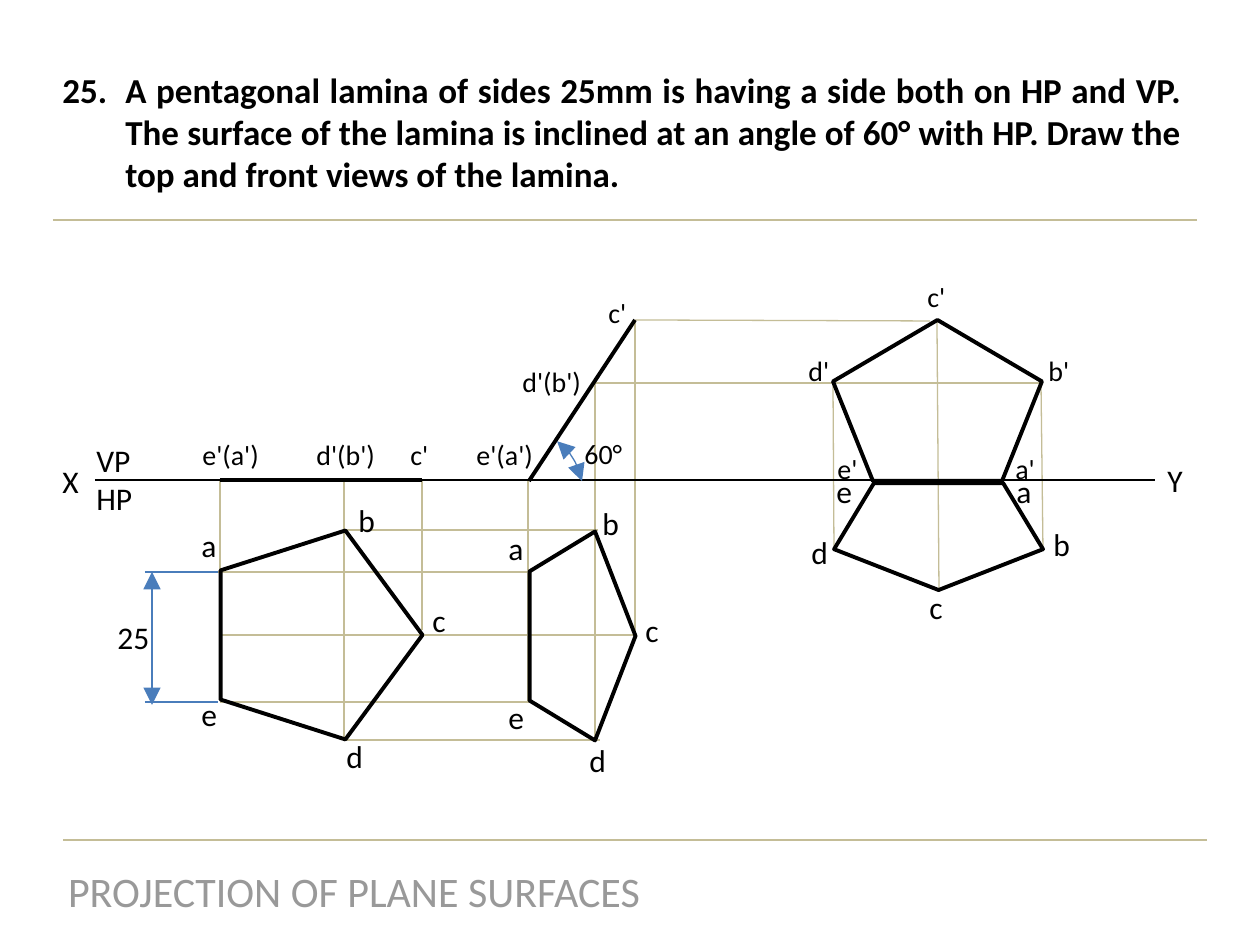
from lxml import etree
from pptx import Presentation
from pptx.dml.color import RGBColor
from pptx.enum.shapes import MSO_CONNECTOR, MSO_SHAPE
from pptx.enum.text import MSO_ANCHOR, MSO_AUTO_SIZE, PP_ALIGN
from pptx.oxml.ns import qn
from pptx.util import Emu, Pt

STRAIGHT = MSO_CONNECTOR.STRAIGHT
PENTAGON, ARC = MSO_SHAPE.REGULAR_PENTAGON, MSO_SHAPE.ARC
TOP, NO_FIT = MSO_ANCHOR.TOP, MSO_AUTO_SIZE.NONE
LEFT, CENTER, JUSTIFY = PP_ALIGN.LEFT, PP_ALIGN.CENTER, PP_ALIGN.JUSTIFY

BLACK = RGBColor(0x00, 0x00, 0x00)
TAN = RGBColor(0xC4, 0xBD, 0x97)
BLUE = RGBColor(0x4A, 0x7D, 0xBB)
GRAY = RGBColor(0x99, 0x99, 0x99)

FONT = "Calibri"
THIN, BOLD = 0.75, 2.25
SCALE = 914400 / 126  # EMU in one px

QUESTION = (
    "A pentagonal lamina of sides 25mm is having a side both on HP and VP. "
    "The surface of the lamina is inclined at an angle of 60° with HP. "
    "Draw the top and front views of the lamina."
)

# Lines: x1, y1, x2, y2
RULES = [(53, 220, 1197, 220), (63, 840, 1207, 840)]
GUIDES = [
    # Down from the front views
    (220, 571, 220, 480), (344, 741, 344, 481), (422, 630, 422, 481),
    (528, 702, 528, 480), (595, 742, 595, 383), (635, 635, 635, 320),
    # Across the top views
    (344, 530, 598, 530), (218, 572, 527, 572), (220, 635, 635, 635),
    (220, 702, 529, 702), (346, 740, 600, 740),
    # Final views
    (834, 548, 833, 382), (939, 590, 937, 320), (1043, 548, 1041, 382),
    (635, 320, 930, 321), (596, 383, 1040, 383),
]
EDGES = [(220, 480, 422, 480), (635, 320, 529, 481)]

# Lamina: x, y, width, height before the turn, turn in degrees
LAMINAS = [
    (217, 534, 209, 202, 90),
    (478, 583, 209, 106, 90),
    (833, 320, 209, 161, 0),
    (834, 483, 209, 107, 180),
]

# Labels: text, x, y
LARGE = [
    ("X", 50, 456), ("Y", 1155, 455), ("25", 105, 612),
    ("a", 189, 520), ("b", 346, 495), ("c", 420, 595), ("d", 334, 731), ("e", 189, 689),
    ("a", 496, 523), ("b", 590, 498), ("c", 633, 605), ("d", 577, 735), ("e", 496, 692),
    ("a", 1004, 466), ("b", 1041, 519), ("c", 917, 582), ("d", 799, 527), ("e", 824, 466),
]
SMALL = [
    ("e'(a')", 190, 431), ("d'(b')", 304, 431), ("c'", 398, 431),
    ("e'(a')", 464, 431), ("d'(b')", 510, 358), ("c'", 596, 289), ("60°", 572, 430),
    ("a'", 1003, 445), ("b'", 1036, 347), ("c'", 915, 273), ("d'", 796, 347),
    ("e'", 825, 445),
]
WIDTHS = {"X": 42, "Y": 40, "25": 58, "c": 39, "e'(a')": 83, "d'(b')": 84,
          "60°": 71, "a'": 45, "b'": 47, "c'": 44, "d'": 47, "e'": 47}


def px(*sizes):
    return [Emu(round(size * SCALE)) for size in sizes]


def write(box, text, size=18, color=BLACK, bold=False, align=LEFT, wrap=False, start=None):
    frame = box.text_frame
    frame.text = text
    frame.word_wrap = wrap
    frame.auto_size = NO_FIT
    frame.vertical_anchor = TOP
    for para in frame.paragraphs:
        para.alignment = align
        if start:
            number(para, start)
        font = para.runs[0].font
        font.name, font.size, font.bold = FONT, Pt(size), bold
        font.color.rgb = color


def number(para, start):
    props = para._p.get_or_add_pPr()
    indent = px(63)[0]
    props.set("marL", str(indent))
    props.set("indent", str(-indent))
    tint = etree.SubElement(props, qn("a:buClr"))
    etree.SubElement(tint, qn("a:srgbClr"), val=str(BLACK))
    etree.SubElement(props, qn("a:buAutoNum"), type="arabicPeriod", startAt=str(start))


def stroke(item, color, width, arrows=False):
    item.line.color.rgb = color
    item.line.width = Pt(width)
    if arrows:
        line = item.line._get_or_add_ln()
        for end in ("a:headEnd", "a:tailEnd"):
            etree.SubElement(line, qn(end), type="triangle", w="lg", len="lg")


def draw(slide, ends, color=TAN, width=THIN, arrows=False):
    line = slide.shapes.add_connector(STRAIGHT, *px(*ends))
    stroke(line, color, width, arrows)
    etree.SubElement(line._element.spPr, qn("a:effectLst"))


def outline(slide, kind, area, turn, color=BLACK, width=BOLD, arrows=False):
    shape = slide.shapes.add_shape(kind, *px(*area))
    shape.rotation = turn
    shape.fill.background()
    stroke(shape, color, width, arrows)
    shape.shadow.inherit = False
    return shape


def label(slide, text, area, **style):
    write(slide.shapes.add_textbox(*px(*area)), text, **style)


def main():
    deck = Presentation()
    deck.slide_width, deck.slide_height = px(1260, 945)
    slide = deck.slides.add_slide(deck.slide_layouts[5])

    # Chapter title at the foot, question at the head
    title = slide.shapes.title
    title.left, title.top, title.width, title.height = px(53, 859, 602, 63)
    write(title, "PROJECTION OF PLANE SURFACES", size=24, color=GRAY,
          align=CENTER, wrap=True)
    label(slide, QUESTION, (50, 62, 1144, 140), size=20, bold=True,
          align=JUSTIFY, wrap=True, start=25)

    # Rules, projectors and the XY line
    for ends in RULES + GUIDES:
        draw(slide, ends)
    draw(slide, (95, 480, 1155, 480), BLACK)

    # Side length and angle
    for y in (572, 702):
        draw(slide, (145, y, 218, y), BLUE)
    draw(slide, (152, 572, 152, 705), BLUE, arrows=True)
    angle = outline(slide, ARC, (519, 436, 64, 105), 346.7, BLUE, THIN, True)
    angle.adjustments[0] = 174.47
    angle.adjustments[1] = 0

    # Lamina seen edge-on and in full
    for ends in EDGES:
        draw(slide, ends, BLACK, BOLD)
    for *area, turn in LAMINAS:
        outline(slide, PENTAGON, area, turn)

    # Labels
    label(slide, "VP\nHP", (84, 435, 62, 89))
    for group, size, height in ((LARGE, 18, 50), (SMALL, 16, 47)):
        for text, x, y in group:
            label(slide, text, (x, y, WIDTHS.get(text, 43), height), size=size)

    deck.save("out.pptx")


if __name__ == "__main__":
    main()
